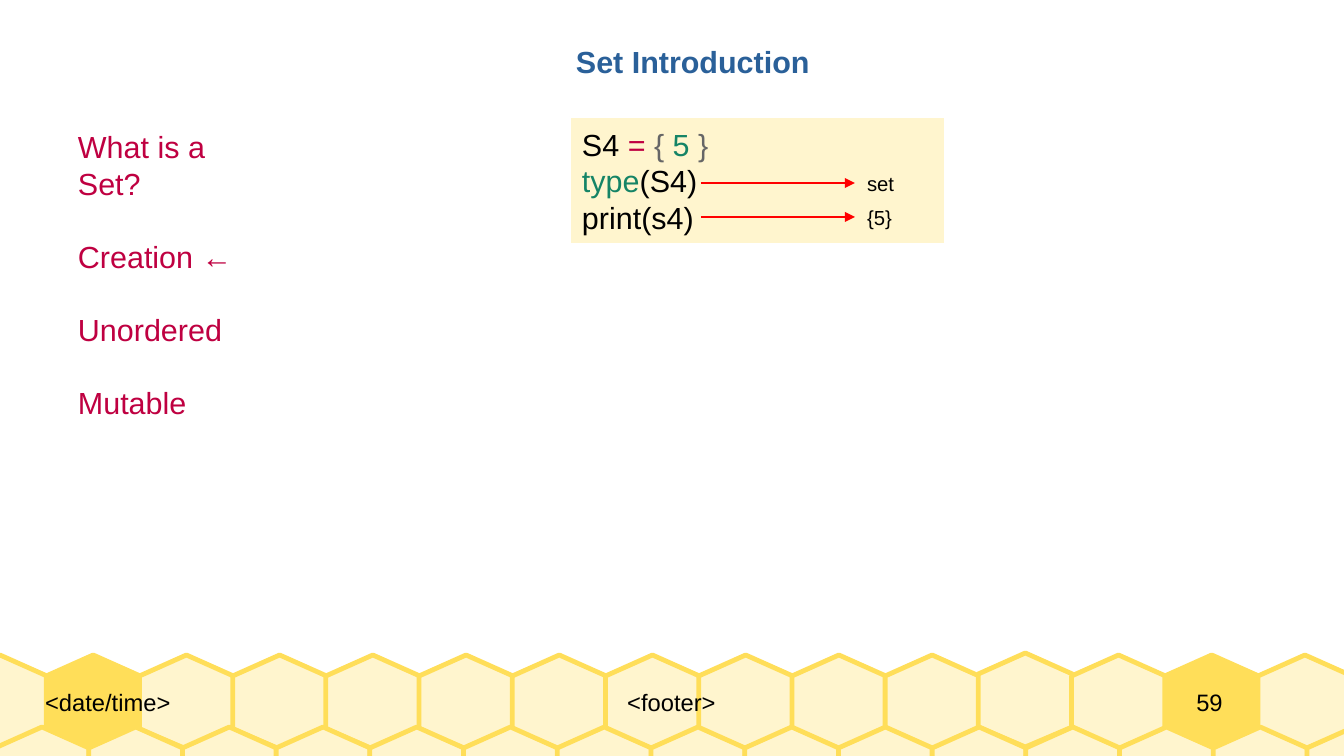
from lxml.etree import SubElement
from pptx import Presentation
from pptx.dml.color import RGBColor
from pptx.enum.shapes import MSO_CONNECTOR, MSO_SHAPE
from pptx.enum.text import MSO_ANCHOR, PP_ALIGN
from pptx.oxml.ns import qn
from pptx.util import Pt

PX = 914400 / 122
WIDTH, HEIGHT = 1344, 756
FONT = "Arial"

BLACK = RGBColor(0x00, 0x00, 0x00)
WHITE = RGBColor(0xFF, 0xFF, 0xFF)
CREAM = RGBColor(0xFF, 0xF5, 0xCE)
YELLOW = RGBColor(0xFF, 0xDE, 0x59)
BLUE = RGBColor(0x2A, 0x60, 0x99)
CRIMSON = RGBColor(0xBF, 0x00, 0x41)
GREEN = RGBColor(0x15, 0x84, 0x66)
GRAY = RGBColor(0x66, 0x66, 0x66)
RED = RGBColor(0xFF, 0x00, 0x00)

TITLE = "Set Introduction"
TOPICS = ["What is a Set?", "Creation ←", "Unordered", "Mutable"]
CODE = [
    [("S4 ", BLACK), ("= ", CRIMSON), ("{ ", GRAY), ("5 ", GREEN), ("}", GRAY)],
    [("type", GREEN), ("(S4)", BLACK)],
    [("print(s4)", BLACK)],
]
RESULTS = [("set", 165), ("{5}", 199)]  # text, top
FOOTERS = [  # text, left, width, alignment
    ("<date/time>", 45, 321, PP_ALIGN.LEFT),
    ("<footer>", 366, 611, PP_ALIGN.CENTER),
    ("59", 1133, 153, PP_ALIGN.CENTER),
]

HEX_SIZE, HEX_SHOULDER, HEX_HIP = 94, 21, 74
HEX_COLUMNS = 15
HEX_ROWS = [(-47, 1258, 655), (-5, 1307, 727)]  # first left, last left, top
YELLOW_CELLS = [(0, 1), (0, 13)]  # row, column
RAISED_CELL, RAISE = (0, 11), 2
FOOTER_TOP = 655


def emu(px):
    return round(px * PX)


def style_run(r, size, color, bold=False):
    r.font.name = FONT
    r.font.size = Pt(size)
    r.font.bold = bold
    r.font.color.rgb = color


def add_text(s, box, lines, size, color, bold=False, gap=0, align=PP_ALIGN.LEFT):
    """Add an unwrapped text box with one paragraph per line, gap points apart."""
    tb = s.shapes.add_textbox(*map(emu, box))
    tf = tb.text_frame
    tf.word_wrap = False
    tf.text = "\n".join(lines)
    for i, p in enumerate(tf.paragraphs):
        p.alignment = align
        if i and gap:
            p.space_before = Pt(gap)
        style_run(p.runs[0], size, color, bold)
    return tb


def add_hexagon(s, left, top, fill):
    middle, right = left + HEX_SIZE / 2, left + HEX_SIZE
    shoulder, hip = top + HEX_SHOULDER, top + HEX_HIP
    fb = s.shapes.build_freeform(emu(middle), emu(top))
    corners = [(right, shoulder), (right, hip), (middle, top + HEX_SIZE),
               (left, hip), (left, shoulder)]
    fb.add_line_segments([(emu(x), emu(y)) for x, y in corners], close=True)
    sp = fb.convert_to_shape()
    sp.shadow.inherit = False
    sp.fill.solid()
    sp.fill.fore_color.rgb = fill
    sp.line.color.rgb = YELLOW
    sp.line.width = Pt(2.83)


def add_honeycomb(s):
    for row, (first, last, top) in enumerate(HEX_ROWS):
        for col in range(HEX_COLUMNS):
            cell = (row, col)
            left = first + (last - first) * col / (HEX_COLUMNS - 1)
            y = top - RAISE if cell == RAISED_CELL else top
            add_hexagon(s, left, y, YELLOW if cell in YELLOW_CELLS else CREAM)


def add_footers(s):
    for text, left, width, align in FOOTERS:
        tb = add_text(s, (left, FOOTER_TOP, width, HEX_SIZE), [text], 14, BLACK, align=align)
        tf = tb.text_frame
        tf.word_wrap = True
        tf.vertical_anchor = MSO_ANCHOR.MIDDLE
        tf.margin_left = tf.margin_right = tf.margin_top = tf.margin_bottom = 0


def add_code(s):
    sp = s.shapes.add_shape(MSO_SHAPE.RECTANGLE, *map(emu, (570, 117, 375, 127)))
    sp.shadow.inherit = False
    sp.fill.solid()
    sp.fill.fore_color.rgb = CREAM
    sp.line.color.rgb = WHITE
    sp.line.width = Pt(1.42)
    tf = sp.text_frame
    tf.word_wrap = False
    tf.vertical_anchor = MSO_ANCHOR.MIDDLE
    for i, line in enumerate(CODE):
        p = tf.add_paragraph() if i else tf.paragraphs[0]
        p.alignment = PP_ALIGN.JUSTIFY
        for text, color in line:
            r = p.add_run()
            r.text = text
            style_run(r, 18, color)


def add_result(s, text, top):
    """Add an output label and the red arrow that leads to it."""
    left, height = 855, 36
    label = add_text(s, (left, top, 52, height), [text], 12, BLACK)
    y = emu(top + height / 2)
    arrow = s.shapes.add_connector(MSO_CONNECTOR.STRAIGHT, emu(701), y, emu(left), y)
    arrow.end_connect(label, 1)
    arrow.line.color.rgb = RED
    arrow.line.width = Pt(1.42)
    SubElement(arrow.line._get_or_add_ln(), qn("a:tailEnd"), type="triangle")
    SubElement(arrow._element.spPr, qn("a:effectLst"))


def main():
    prs = Presentation()
    prs.slide_width, prs.slide_height = emu(WIDTH), emu(HEIGHT)
    s = prs.slides.add_slide(prs.slide_layouts[6])
    add_honeycomb(s)
    add_footers(s)
    add_text(s, (564, 37, 259, 46), [TITLE], 18, BLUE, bold=True)
    add_text(s, (66, 122, 222, 251), TOPICS, 18, CRIMSON, gap=21.5)
    add_code(s)
    for text, top in RESULTS:
        add_result(s, text, top)
    prs.save("out.pptx")


if __name__ == "__main__":
    main()
